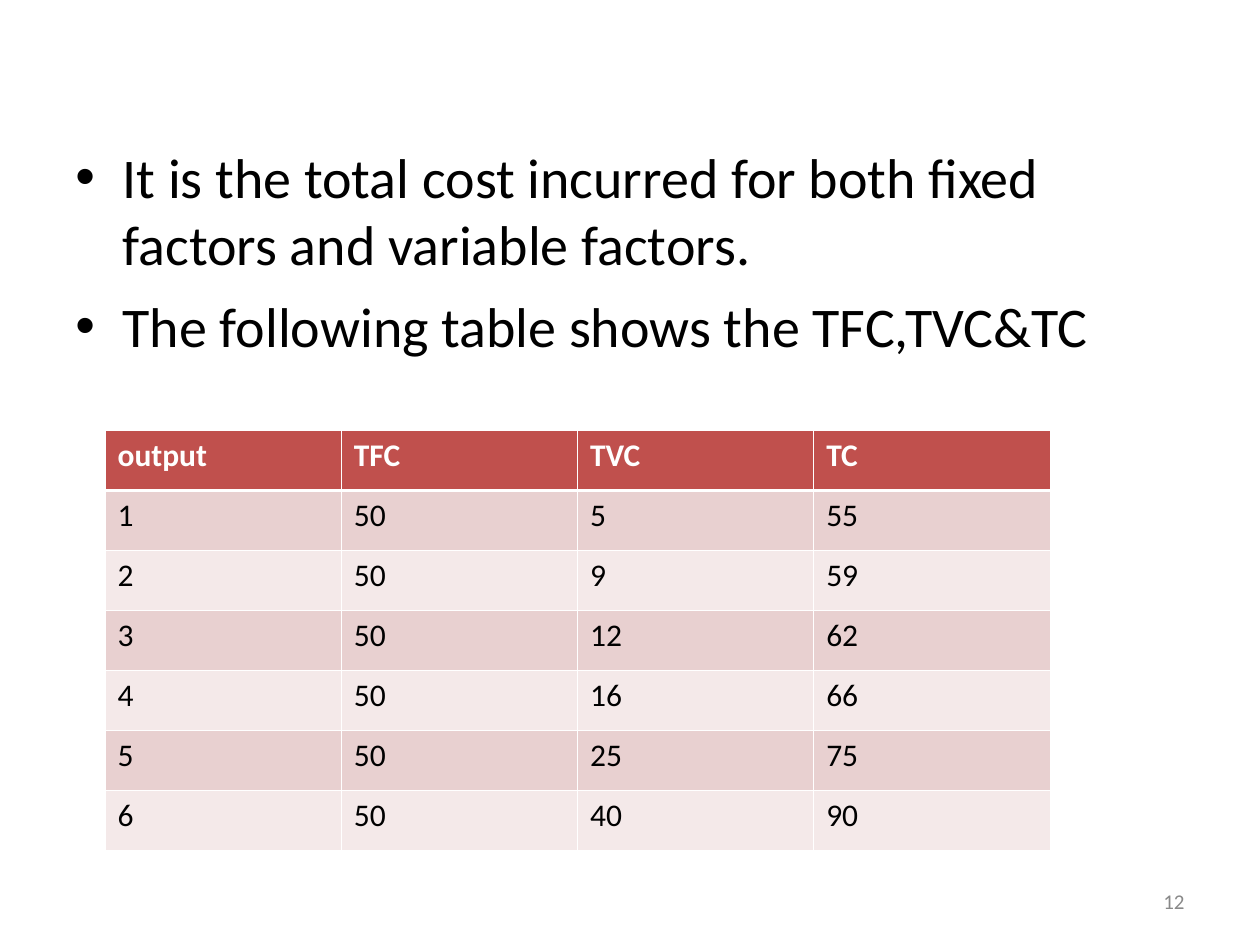
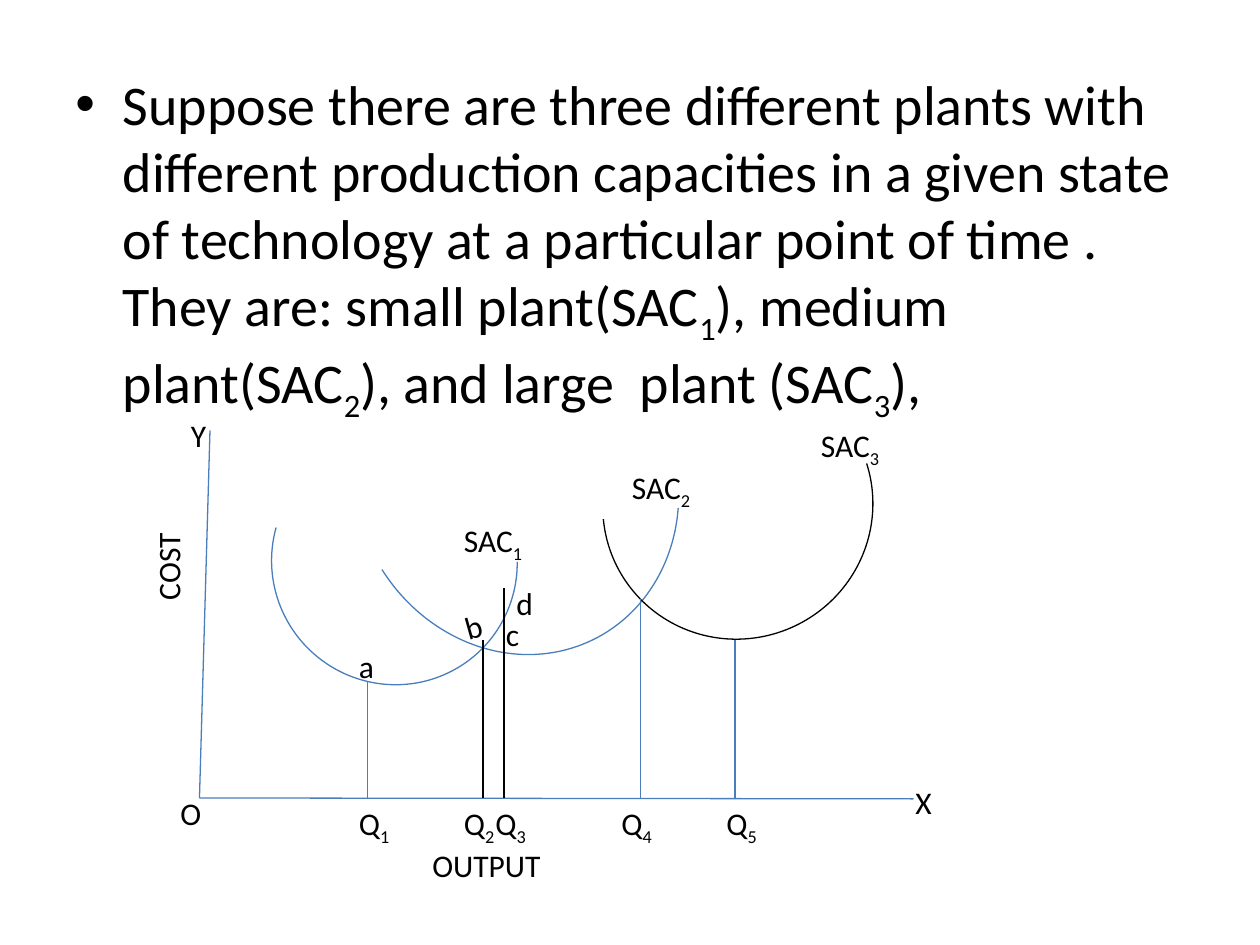
from lxml.etree import SubElement
from pptx import Presentation
from pptx.dml.color import RGBColor
from pptx.enum.shapes import MSO_CONNECTOR as Connector, MSO_SHAPE as Shape
from pptx.enum.text import MSO_ANCHOR as Anchor, MSO_AUTO_SIZE as AutoSize, PP_ALIGN as Align
from pptx.oxml.ns import qn
from pptx.util import Pt

BLACK = RGBColor(0x00, 0x00, 0x00)
WHITE = RGBColor(0xFF, 0xFF, 0xFF)
GREY = RGBColor(0x89, 0x89, 0x89)
BLUE = RGBColor(0x4A, 0x7E, 0xBB)
RED = RGBColor(0xC0, 0x50, 0x4D)
BANDS = (RGBColor(0xE8, 0xD0, 0xD0), RGBColor(0xF4, 0xE9, 0xE9))

FONT = "Calibri"
BODY_SIZE, LABEL_SIZE, NUMBER_SIZE = 32, 18, 12
LINE_WIDTH = 0.75
THIN, THICK = 0.45, 1.47


class Pen:
    """Holds the style and the current slide. All lengths are in points."""

    def __init__(self, deck):
        self.deck = deck
        self.page = None

    def new_page(self):
        self.page = self.deck.slides.add_slide(self.deck.slide_layouts[6])

    def style(self, span, size, color, bold=False):
        span.font.name = FONT
        span.font.size = Pt(size)
        span.font.color.rgb = color
        span.font.bold = bold

    def set_text(self, para, text, size, color=BLACK, bold=False):
        """Fill a paragraph; the character after each underscore is a subscript."""
        first, *rest = text.split("_")
        para.text = first
        for part in rest:
            index = para.add_run()
            index.text = part[0]
            index._r.get_or_add_rPr().set("baseline", "-25000")
            if part[1:]:
                para.add_run().text = part[1:]
        for span in para.runs:
            self.style(span, size, color, bold)

    def box(self, left, top, width, height):
        box = self.page.shapes.add_textbox(Pt(left), Pt(top), Pt(width), Pt(height))
        box.text_frame.word_wrap = True
        return box

    def bullets(self, left, top, width, height, items):
        frame = self.box(left, top, width, height).text_frame
        for number, item in enumerate(items):
            para = frame.add_paragraph() if number else frame.paragraphs[0]
            props = para._p.get_or_add_pPr()
            props.set("marL", str(Pt(27)))
            props.set("indent", str(Pt(-27)))
            SubElement(props, qn("a:buFont"), typeface="Arial")
            SubElement(props, qn("a:buChar"), char="•")
            if number:
                para.space_before = Pt(8)
            self.set_text(para, item, BODY_SIZE)

    def label(self, text, left, top, width, height=29, rotation=0):
        box = self.box(left, top, width, height)
        box.text_frame.auto_size = AutoSize.SHAPE_TO_FIT_TEXT
        box.rotation = rotation
        self.set_text(box.text_frame.paragraphs[0], text, LABEL_SIZE)

    def page_number(self, number):
        frame = self.box(516, 500.5, 168, 29).text_frame
        frame.vertical_anchor = Anchor.MIDDLE
        para = frame.paragraphs[0]
        para.alignment = Align.RIGHT
        self.set_text(para, str(number), NUMBER_SIZE, GREY)

    def line(self, x1, y1, x2, y2, color=BLUE):
        line = self.page.shapes.add_connector(
            Connector.STRAIGHT, Pt(x1), Pt(y1), Pt(x2), Pt(y2))
        line.line.color.rgb = color
        line.line.width = Pt(LINE_WIDTH)
        SubElement(line._element.spPr, qn("a:effectLst"))

    def arc(self, left, top, width, height, rotation, start, end, color=BLUE):
        arc = self.page.shapes.add_shape(Shape.ARC, Pt(left), Pt(top), Pt(width), Pt(height))
        # An adjustment of 0.6 is one degree
        arc.adjustments[0] = start * 0.6
        arc.adjustments[1] = end * 0.6
        arc.rotation = rotation
        arc.shadow.inherit = False
        arc.fill.background()
        arc.line.color.rgb = color
        arc.line.width = Pt(LINE_WIDTH)

    def border(self, cell, side, width):
        props = cell._tc.get_or_add_tcPr()
        edge = SubElement(props, qn("a:ln" + side), w=str(Pt(width)))
        fill = SubElement(edge, qn("a:solidFill"))
        SubElement(fill, qn("a:srgbClr"), val=str(WHITE))

    def table(self, left, top, width, height, rows):
        table = self.page.shapes.add_table(
            len(rows), len(rows[0]), Pt(left), Pt(top), Pt(width), Pt(height)).table
        for r, values in enumerate(rows):
            table.rows[r].height = Pt(height / len(rows))
            header = r == 0
            for c, value in enumerate(values):
                cell = table.cell(r, c)
                for side in "LR":
                    self.border(cell, side, THIN)
                self.border(cell, "T", THICK if r == 1 else THIN)
                self.border(cell, "B", THICK if header else THIN)
                cell.fill.solid()
                cell.fill.fore_color.rgb = RED if header else BANDS[(r - 1) % 2]
                self.set_text(cell.text_frame.paragraphs[0], str(value), LABEL_SIZE,
                              WHITE if header else BLACK, header)


def total_cost_page(pen):
    pen.new_page()
    pen.bullets(36, 78, 648, 405, [
        "It is the total cost incurred for both fixed factors and variable factors.",
        "The following table shows the TFC,TVC&TC",
    ])
    pen.page_number(12)

    # Total cost is fixed cost plus variable cost
    fixed = 50
    variable = (5, 9, 12, 16, 25, 40)
    costs = [(output, fixed, cost, fixed + cost) for output, cost in enumerate(variable, 1)]
    pen.table(60, 246, 540, 240, [("output", "TFC", "TVC", "TC")] + costs)


def plants_page(pen):
    pen.new_page()
    pen.bullets(36, 36, 642, 470, [
        "Suppose there are three different plants with different production capacities "
        "in a given state of technology at a particular point of time . They are: "
        "small plant(SAC_1), medium plant(SAC_2), and large  plant (SAC_3),",
    ])

    # Axes
    axis = 456
    pen.line(120, 246, 114, axis)
    pen.line(114, axis, 522, axis + 0.5)

    # Short-run average cost curves
    pen.arc(155.5, 250.5, 139.7, 141.1, 136.2, 223.8, 60)
    pen.arc(203, 173.5, 182.9, 202.3, 154.2, 215.3, 352.1)
    pen.arc(344.2, 212.4, 154.8, 152.6, 153.2, 188.8, 20.9, BLACK)

    # Drop lines to the output axis
    for x, top, color in ((210, 390, BLUE), (276, 366, BLACK), (288, 336, BLACK),
                          (366, 342, BLUE), (420, 366, BLUE)):
        pen.line(x, top, x, axis, color)

    # Output levels
    levels = ((198, 48), (258, 36), (276, 54), (348, 51), (408, 48))
    for number, (left, width) in enumerate(levels, 1):
        pen.label(f"Q_{number}", left, axis, width, 32)

    # Curve names
    curves = ((258, 294, 54), (354, 264, 54), (462, 240, 60))
    for number, (left, top, width) in enumerate(curves, 1):
        pen.label(f"SAC_{number}", left, top, width, 32)

    # Axis names
    pen.label("O", 96, 450, 27)
    pen.label("Y", 102, 234, 32)
    pen.label("X", 516, 444, 32)
    pen.label("COST", 62, 301.5, 68, rotation=270)
    pen.label("OUTPUT", 240, 480, 144)

    # Points on the curves
    pen.label("a", 198, 366, 38)
    pen.label("b", 258.5, 342.5, 31, rotation=344.3)
    pen.label("c", 282, 348, 35)
    pen.label("d", 288, 330, 27)


def main():
    deck = Presentation()
    deck.slide_width, deck.slide_height = Pt(720), Pt(540)
    pen = Pen(deck)
    total_cost_page(pen)
    plants_page(pen)
    deck.save("out.pptx")


if __name__ == "__main__":
    main()
